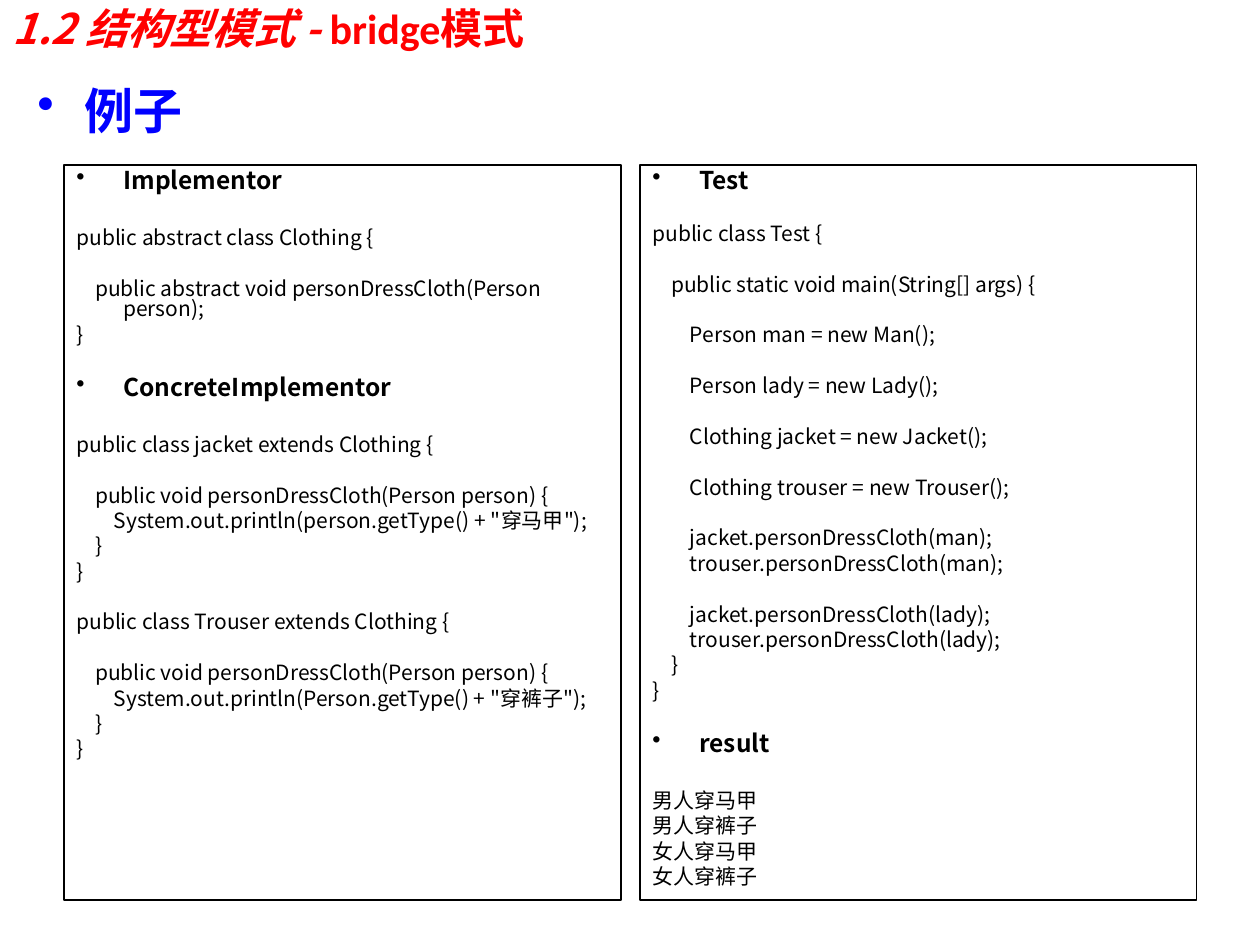
from lxml import etree
from pptx import Presentation
from pptx.dml.color import RGBColor
from pptx.enum.shapes import MSO_SHAPE
from pptx.enum.text import MSO_ANCHOR, PP_ALIGN
from pptx.oxml.ns import qn
from pptx.util import Emu, Pt

RECT = MSO_SHAPE.RECTANGLE
TOP, MIDDLE = MSO_ANCHOR.TOP, MSO_ANCHOR.MIDDLE
LEFT = PP_ALIGN.LEFT

PX = 914400 // 126
INDENT = 47
NOTO, CALIBRI = "Noto Sans CJK SC", "Calibri"
RED, BLUE, BLACK = "FF0000", "0000FF", "000000"
HEADING_SIZE, CODE_SIZE = 14, 12
BLANK_LINE = 14.5  # height of a skipped code line, in points
HEADING_BLANK = 17  # height of a skipped heading line, in points

# Each section: heading, space under the heading, code lines
IMPLEMENTOR_SECTIONS = [
    ("Implementor", HEADING_BLANK, """\
public abstract class Clothing {

    public abstract void personDressCloth(Person person);
}"""),
    ("ConcreteImplementor", HEADING_BLANK, """\
public class jacket extends Clothing {

    public void personDressCloth(Person person) {
        System.out.println(person.getType() + "穿马甲");
    }
}

public class Trouser extends Clothing {

    public void personDressCloth(Person person) {
        System.out.println(Person.getType() + "穿裤子");
    }
}"""),
]
TEST_SECTIONS = [
    ("Test", BLANK_LINE, """\
public class Test {

    public static void main(String[] args) {

        Person man = new Man();

        Person lady = new Lady();

        Clothing jacket = new Jacket();

        Clothing trouser = new Trouser();

        jacket.personDressCloth(man);
        trouser.personDressCloth(man);

        jacket.personDressCloth(lady);
        trouser.personDressCloth(lady);
    }
}"""),
    ("result", HEADING_BLANK, """\
男人穿马甲
男人穿裤子
女人穿马甲
女人穿裤子"""),
]


def px(*lengths):
    return [Emu(length * PX) for length in lengths]


def color(hex_string):
    return RGBColor.from_string(hex_string)


def set_font(font, size, hex_string, bold, name=None):
    font.size, font.bold = Pt(size), bold
    font.color.rgb = color(hex_string)
    if name:
        font.name = name


def hang(paragraph, bullet_color=None):
    """Give a paragraph its hanging indent and, if coloured, a bullet."""
    properties = paragraph._p.get_or_add_pPr()
    properties.set("marL", str(INDENT * PX))
    properties.set("indent", str(-INDENT * PX))
    if bullet_color:
        bullet = etree.SubElement(properties, qn("a:buClr"))
        etree.SubElement(bullet, qn("a:srgbClr"), val=bullet_color)
        etree.SubElement(properties, qn("a:buChar"), char="•")
    else:
        etree.SubElement(properties, qn("a:buNone"))


def add_line(frame, text, size, bold, space, name, hex_string=BLACK, bullet=False):
    first = not frame.paragraphs[0].runs
    paragraph = frame.paragraphs[0] if first else frame.add_paragraph()
    hang(paragraph, hex_string if bullet else None)
    paragraph.alignment = LEFT
    paragraph.line_spacing = 0.8
    if not first:
        paragraph.space_before = Pt(space)
    paragraph.add_run().text = text
    set_font(paragraph.font, size, hex_string, bold, name)


def add_title(slide, left, top, width, height):
    frame = slide.shapes.add_textbox(*px(left, top, width, height)).text_frame
    frame.word_wrap = True
    frame.vertical_anchor = MIDDLE
    paragraph = frame.paragraphs[0]
    set_font(paragraph.font, 24, RED, True)
    for text, name, italic in (("1.2 结构型模式 - ", NOTO, True),
                               ("bridge模式", CALIBRI, False)):
        run = paragraph.add_run()
        run.text = text
        run.font.name, run.font.italic = name, italic


def add_topic(slide, left, top, width, height):
    frame = slide.shapes.add_textbox(*px(left, top, width, height)).text_frame
    frame.word_wrap = True
    add_line(frame, "例子", 28, True, 0, CALIBRI, BLUE, bullet=True)


def add_code_panel(slide, left, top, width, height, sections):
    panel = slide.shapes.add_shape(RECT, *px(left, top, width, height))
    panel.shadow.inherit = False
    panel.fill.background()
    panel.line.color.rgb = color(BLACK)
    panel.line.width = Pt(0.75)
    frame = panel.text_frame
    frame.word_wrap = True
    frame.vertical_anchor = TOP
    for heading, gap, code in sections:
        add_line(frame, heading, HEADING_SIZE, True, 3.5 + BLANK_LINE, NOTO,
                 bullet=True)
        for line in code.splitlines():
            if line:
                add_line(frame, line, CODE_SIZE, False, 3 + gap, NOTO)
            gap = 0 if line else BLANK_LINE


def main():
    deck = Presentation()
    deck.slide_width, deck.slide_height = px(1260, 945)
    slide = deck.slides.add_slide(deck.slide_layouts[6])

    # Title and topic
    add_title(slide, 0, 0, 1134, 55)
    add_topic(slide, 25, 86, 446, 131)

    # Two code panels side by side
    for column, sections in enumerate((IMPLEMENTOR_SECTIONS, TEST_SECTIONS)):
        add_code_panel(slide, 64 + column * 576, 165, 557, 735, sections)

    deck.save("out.pptx")


if __name__ == "__main__":
    main()
